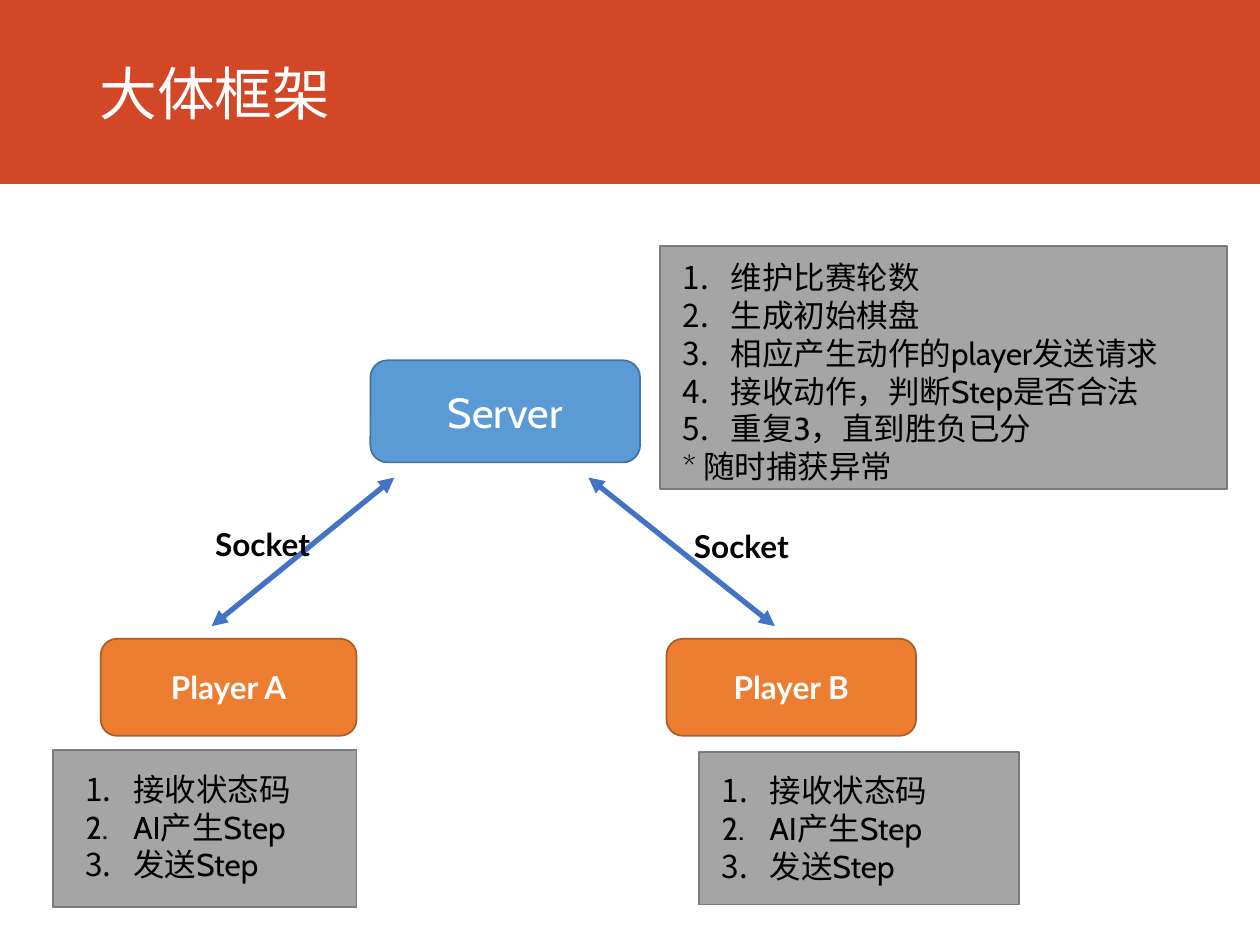
"""Build the framework slide: a server and two players joined by sockets."""
import pptx
import pptx.dml.color
import pptx.enum.shapes
import pptx.enum.text
import pptx.oxml
import pptx.util
from pptx.oxml.ns import qn

Inches = pptx.util.Inches
Pt = pptx.util.Pt
Shape = pptx.enum.shapes.MSO_SHAPE
Anchor = pptx.enum.text.MSO_ANCHOR
Align = pptx.enum.text.PP_ALIGN


def colour(hex_text):
    """Turn a hex string into a colour."""
    return pptx.dml.color.RGBColor.from_string(hex_text)


def add_element(parent, tag, **attributes):
    """Append a drawing element with its attributes."""
    element = pptx.oxml.parse_xml(
        f'<a:{tag} xmlns:a="http://schemas.openxmlformats.org/drawingml/2006/main"/>')
    for name, value in attributes.items():
        element.set(name, value)
    parent.append(element)


class Painter:
    """Hold the style and the current slide."""

    BODY, STRONG, CJK = "Cabin", "Lato", "Noto Sans CJK SC"
    RED, WHITE, BLACK = "D24726", "FFFFFF", "000000"
    GREY, GREY_EDGE = "A5A5A5", "7A7A7A"
    BLUE, BLUE_EDGE = "5B9BD5", "43739E"
    ORANGE, ORANGE_EDGE = "ED7D31", "AF5C24"
    ARROW = "4472C4"

    def __init__(self, page):
        """Keep the slide to draw on."""
        self.page = page

    def style(self, para, size, font, ink, bold=False):
        """Set the font of a whole paragraph."""
        para.font.size = Pt(size)
        para.font.name = font
        para.font.bold = bold
        para.font.color.rgb = colour(ink)

    def panel(self, place, fill, edge=None, kind=Shape.RECTANGLE):
        """Draw a filled shape, outlined when an edge colour is given."""
        shape = self.page.shapes.add_shape(kind, *map(Inches, place))
        shape.shadow.inherit = False
        shape.fill.solid()
        shape.fill.fore_color.rgb = colour(fill)
        if edge:
            shape.line.color.rgb = colour(edge)
            shape.line.width = Pt(1)
        else:
            shape.line.fill.background()
        return shape

    def node(self, place, label, fill, edge, size, font, bold=False):
        """Draw a rounded box with a centred label."""
        shape = self.panel(place, fill, edge, Shape.ROUNDED_RECTANGLE)
        shape.text_frame.vertical_anchor = Anchor.MIDDLE
        para = shape.text_frame.paragraphs[0]
        para.text = label
        para.alignment = Align.CENTER
        self.style(para, size, font, self.WHITE, bold)

    def text_box(self, place):
        """Add a wrapping text box and return its frame."""
        frame = self.page.shapes.add_textbox(*map(Inches, place)).text_frame
        frame.word_wrap = True
        return frame

    def title(self, place, words):
        """Write the slide title."""
        frame = self.text_box(place)
        frame.vertical_anchor = Anchor.MIDDLE
        para = frame.paragraphs[0]
        para.text = words
        self.style(para, 33, self.CJK, self.WHITE)
        add_element(para._p.pPr.find(qn("a:defRPr")), "ea", typeface=self.CJK)

    def label(self, place, words):
        """Write a bold label."""
        para = self.text_box(place).paragraphs[0]
        para.text = words
        self.style(para, 18, self.STRONG, self.BLACK, bold=True)

    def steps(self, place, items, remark=None):
        """Write a numbered list with an optional unnumbered last line."""
        frame = self.text_box(place)
        lines = items + ([remark] if remark else [])
        for index, words in enumerate(lines):
            para = frame.add_paragraph() if index else frame.paragraphs[0]
            para.text = words
            if index < len(items):
                properties = para._p.get_or_add_pPr()
                properties.set("marL", str(Inches(0.38)))
                properties.set("indent", str(-Inches(0.38)))
                add_element(properties, "buFont", typeface="+mj-lt")
                add_element(properties, "buAutoNum", type="arabicPeriod")
            self.style(para, 18, self.BODY, self.BLACK)

    def arrow(self, start, end):
        """Draw a line with an arrowhead at both ends."""
        line = self.page.shapes.add_connector(
            pptx.enum.shapes.MSO_CONNECTOR.STRAIGHT, *map(Inches, start + end))
        line.line.color.rgb = colour(self.ARROW)
        line.line.width = Pt(3)
        outline = line.line._get_or_add_ln()
        for tag in ("headEnd", "tailEnd"):
            add_element(outline, tag, type="triangle")
        add_element(line._element.spPr, "effectLst")


def main():
    """Compose and save the slide."""
    deck = pptx.Presentation()
    deck.slide_width, deck.slide_height = Inches(10), Inches(7.5)
    painter = Painter(deck.slides.add_slide(deck.slide_layouts[6]))

    painter.panel((0, 0, 10, 1.46), painter.RED)
    painter.title((0.69, 0.01, 8.62, 1.45), "大体框架")

    for place in ((0.42, 5.95, 2.41, 1.25), (5.55, 5.97, 2.54, 1.21),
                  (5.24, 1.95, 4.5, 1.93)):
        painter.panel(place, painter.GREY, painter.GREY_EDGE)

    painter.node((2.94, 2.86, 2.14, 0.81), "Server", painter.BLUE,
                 painter.BLUE_EDGE, 24, painter.BODY)
    for left, width, name in ((0.8, 2.03, "Player A"), (5.29, 1.98, "Player B")):
        painter.node((left, 5.07, width, 0.77), name, painter.ORANGE,
                     painter.ORANGE_EDGE, 18, painter.STRONG, bold=True)

    for player_x, server_x in ((1.68, 3.13), (6.15, 4.67)):
        painter.arrow((player_x, 4.97), (server_x, 3.79))
    for left, top in ((1.61, 4.12), (5.41, 4.13)):
        painter.label((left, top, 1.53, 0.4), "Socket")

    for left, top in ((0.58, 6.06), (5.63, 6.07)):
        painter.steps((left, top, 2.63, 1.01),
                      ["接收状态码", "AI产生Step", "发送Step"])
    painter.steps((5.32, 2, 5.22, 1.92),
                  ["维护比赛轮数", "生成初始棋盘", "相应产生动作的player发送请求",
                   "接收动作，判断Step是否合法", "重复3，直到胜负已分"],
                  remark="* 随时捕获异常")

    deck.save("out.pptx")


if __name__ == "__main__":
    main()
